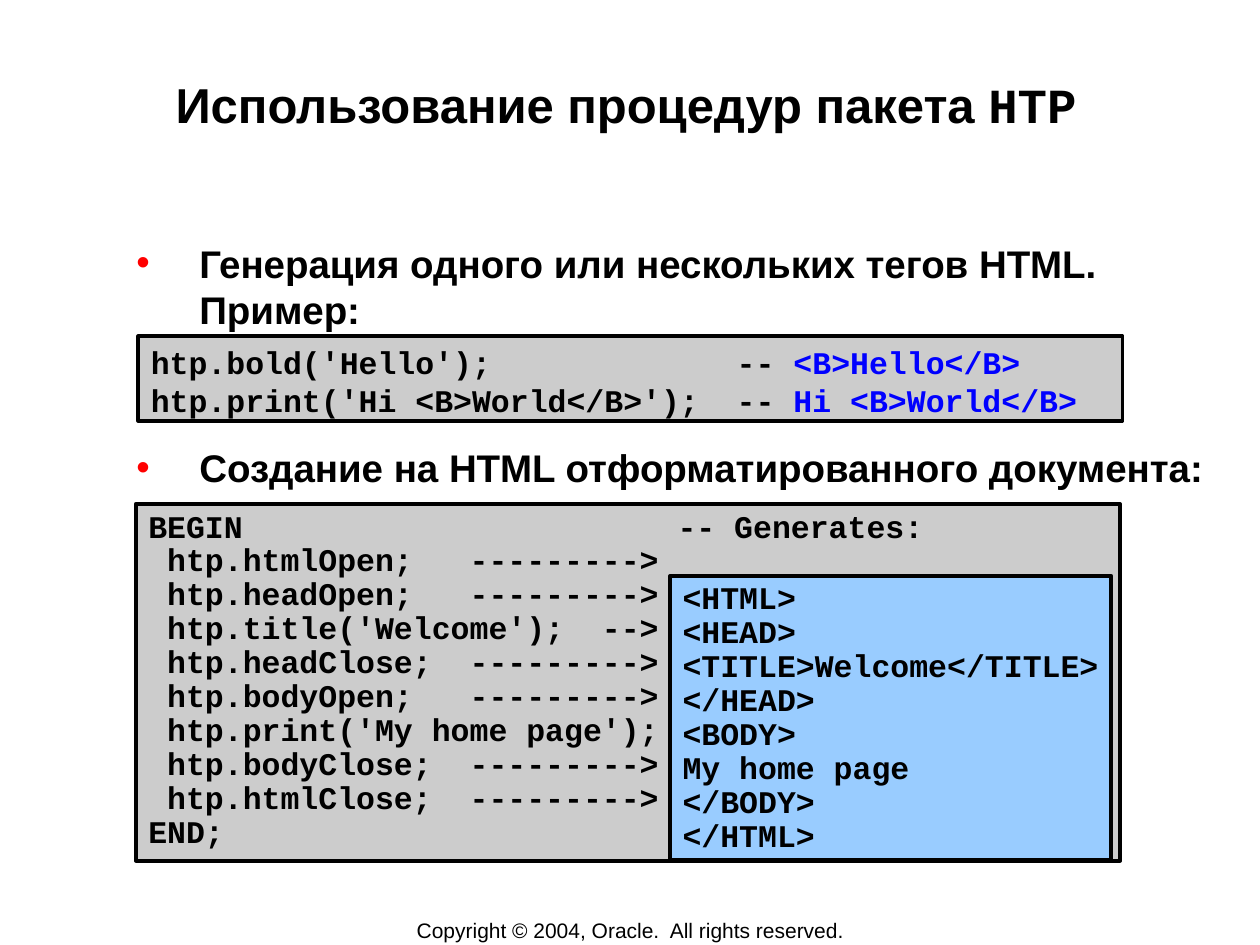
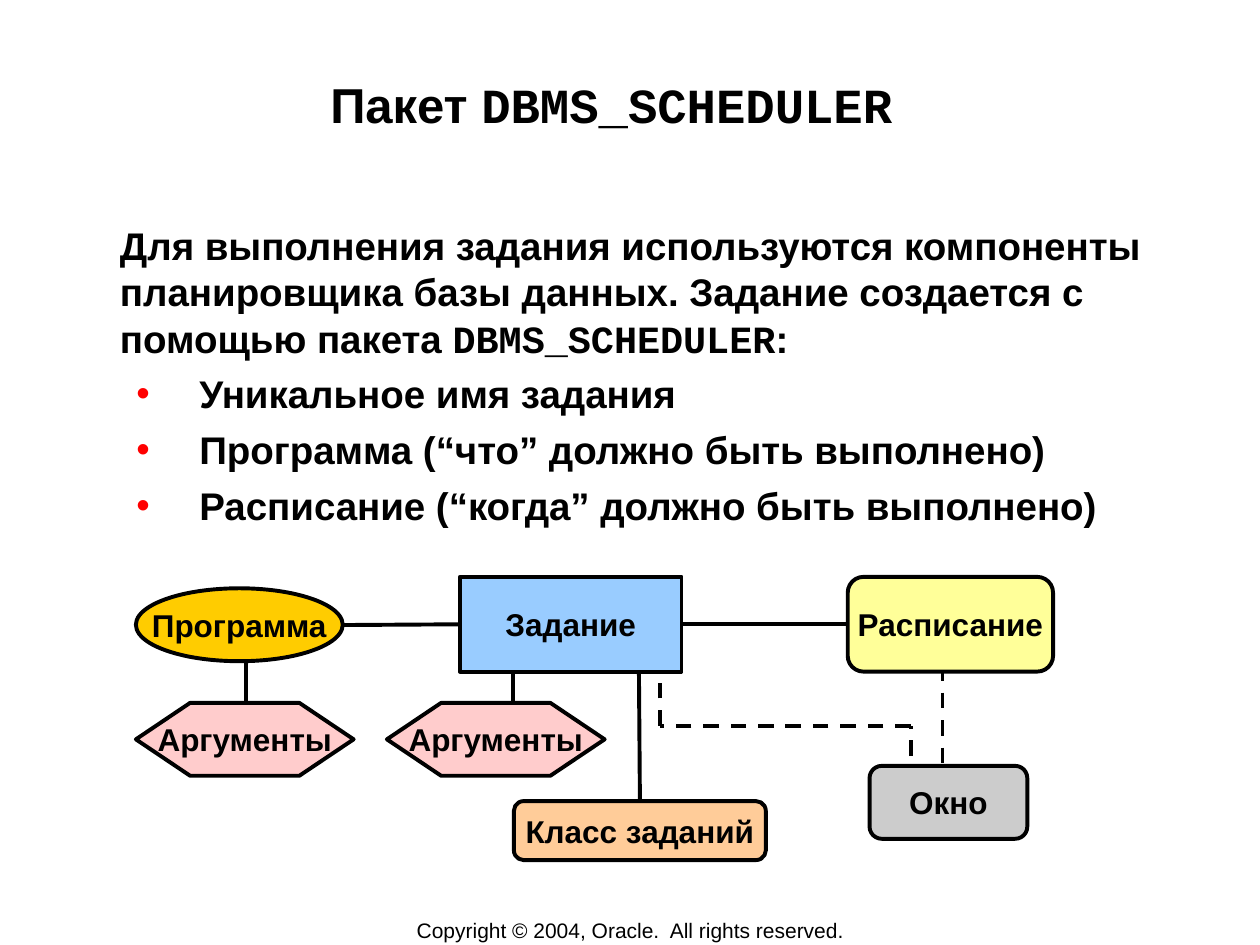
from lxml import etree
from pptx import Presentation
from pptx.dml.color import RGBColor
from pptx.enum.dml import MSO_LINE
from pptx.enum.shapes import MSO_CONNECTOR, MSO_SHAPE
from pptx.enum.text import MSO_ANCHOR, MSO_AUTO_SIZE, PP_ALIGN
from pptx.oxml.ns import qn
from pptx.util import Cm, Pt

BLACK = RGBColor(0x00, 0x00, 0x00)
BLUE = RGBColor(0x00, 0x00, 0xFF)
RED = RGBColor(0xFF, 0x00, 0x00)
GRAY = RGBColor(0xCC, 0xCC, 0xCC)
SKY = RGBColor(0x99, 0xCC, 0xFF)
GOLD = RGBColor(0xFF, 0xCC, 0x00)
PINK = RGBColor(0xFF, 0xCC, 0xCC)
PEACH = RGBColor(0xFF, 0xCC, 0x99)
LEMON = RGBColor(0xFF, 0xFF, 0x99)

RECT, OVAL, HEX = MSO_SHAPE.RECTANGLE, MSO_SHAPE.OVAL, MSO_SHAPE.HEXAGON
ROUND = MSO_SHAPE.FLOWCHART_ALTERNATE_PROCESS
STRAIGHT = MSO_CONNECTOR.STRAIGHT
DASH = MSO_LINE.DASH
LEFT, CENTER = PP_ALIGN.LEFT, PP_ALIGN.CENTER
TOP, MIDDLE = MSO_ANCHOR.TOP, MSO_ANCHOR.MIDDLE

# Run styles: font and colour
SANS = ("Arial", BLACK)
MONO = ("Courier New", BLACK)
TAG = ("Courier New", BLUE)

LEAD = 1.2      # line pitch as a share of the text size
SLIM = 0.03     # text margin of title and body
WIDE = 0.25     # side margin of shapes
EDGE = Pt(2.25)

# Shared content
FOOT = "Copyright © 2004, Oracle.  All rights reserved."
FOOT_AT = (7.01, 18.49, 11.4, 0.53)
TITLE_AT = (2.46, 1.47, 20.32, 2.44)

# Slide 1 content
HTP_TITLE = [("Использование процедур пакета ", SANS), ("HTP", MONO)]
HTP_POINTS = [
    ((2.39, 4.8, 22.38, 1.95), "Генерация одного или нескольких тегов HTML. Пример:"),
    ((2.39, 8.92, 22.38, 1), "Создание на HTML отформатированного документа:"),
]
TAG_CODE = [
    [("htp.bold('Hello');             -- ", MONO), ("<B>Hello</B>", TAG)],
    [("htp.print('Hi <B>World</B>');  -- ", MONO), ("Hi <B>World</B>", TAG)],
]
PAGE_CODE = """BEGIN                       -- Generates:
 htp.htmlOpen;   --------->
 htp.headOpen;   --------->
 htp.title('Welcome');  -->
 htp.headClose;  --------->
 htp.bodyOpen;   --------->
 htp.print('My home page');
 htp.bodyClose;  --------->
 htp.htmlClose;  --------->
END;"""
HTML = """<HTML>
<HEAD>
<TITLE>Welcome</TITLE>
</HEAD>
<BODY>
My home page
</BODY>
</HTML>"""

# Slide 2 content
JOB_TITLE = [("Пакет ", SANS), ("DBMS_SCHEDULER ", MONO)]
JOB_AT = (2.39, 4.45, 21.51, 6.25)
JOB_INTRO = [
    ("Для выполнения задания используются компоненты планировщика базы данных. "
     "Задание создается с помощью пакета ", SANS),
    ("DBMS_SCHEDULER", MONO),
    (":", SANS),
]
JOB_POINTS = [
    "Уникальное имя задания",
    "Программа (“что” должно быть выполнено)",
    "Расписание (“когда” должно быть выполнено)",
]
NODES = {
    "program": ("Программа", OVAL, GOLD, (2.74, 11.86, 4.17, 1.47)),
    "window": ("Окно", ROUND, GRAY, (17.53, 15.44, 3.18, 1.47)),
    "program args": ("Аргументы", HEX, PINK, (2.74, 14.17, 4.39, 1.47)),
    "job args": ("Аргументы", HEX, PINK, (7.8, 14.17, 4.39, 1.47)),
    "class": ("Класс заданий", ROUND, PEACH, (10.36, 16.15, 5.08, 1.19)),
    "schedule": ("Расписание", ROUND, LEMON, (17.09, 11.63, 4.14, 1.91)),
    "job": ("Задание", RECT, SKY, (9.27, 11.63, 4.47, 1.91)),
}
# Loose lines: points and dash
PATHS = [
    ([(4.95, 13.34), (4.95, 14.2)], None),
    ([(10.34, 13.54), (10.34, 14.6)], None),
    ([(19, 13.41), (19, 15.44)], DASH),
    ([(18.36, 15.24), (18.36, 14.63), (13.31, 14.63), (13.31, 13.34)], DASH),
]
# Joined lines: each end is a point or a node with its side
LINKS = [
    ((6.91, 12.6), ("job", 1)),
    (("job", 3), ("schedule", 1)),
    ((12.88, 13.54), ("class", 0)),
]


def area(box):
    return [Cm(n) for n in box]


def frame(shape, side, ends, anchor=TOP, wrap=True):
    text = shape.text_frame
    text.auto_size = MSO_AUTO_SIZE.NONE
    text.word_wrap = wrap
    text.vertical_anchor = anchor
    text.margin_left = text.margin_right = Cm(side)
    text.margin_top = text.margin_bottom = Cm(ends)
    return text


def bullet(para):
    props = para._p.get_or_add_pPr()
    props.set("marL", str(Cm(1.6)))
    props.set("indent", str(-Cm(1.27)))
    tint = etree.SubElement(props, qn("a:buClr"))
    etree.SubElement(tint, qn("a:srgbClr")).set("val", str(RED))
    etree.SubElement(props, qn("a:buFont")).set("typeface", "Arial")
    etree.SubElement(props, qn("a:buChar")).set("char", "•")


def fill(text, paras, size, align=LEFT, lead=None, gap=0, bold=True, dots=()):
    """Write paragraphs, each a list of (words, style); dots are bulleted ones."""
    for i, runs in enumerate(paras):
        para = text.add_paragraph() if i else text.paragraphs[0]
        if i in dots:
            bullet(para)
        para.alignment = align
        para.space_before = Pt(gap if i else 0)
        if lead:
            para.line_spacing = Pt(round(size * lead, 1))
        for words, (face, tint) in runs:
            run = para.add_run()
            run.text = words
            run.font.name = face
            run.font.size = Pt(size)
            run.font.bold = bold
            run.font.color.rgb = tint


def start(deck, title):
    """Add a slide with its title and footer."""
    slide = deck.slides.add_slide(deck.slide_layouts[5])
    head = slide.shapes.title
    head.left, head.top, head.width, head.height = area(TITLE_AT)
    fill(frame(head, SLIM, SLIM), [title], 28, CENTER)
    foot = slide.shapes.add_textbox(*area(FOOT_AT))
    fill(frame(foot, WIDE, 0.13, MIDDLE, False), [[(FOOT, SANS)]], 12, CENTER, bold=False)
    return slide


def body(slide, box, paras, dots):
    text = frame(slide.shapes.add_textbox(*area(box)), SLIM, SLIM)
    fill(text, paras, 22, lead=LEAD, gap=5.5, dots=dots)


def panel(slide, kind, box, tint):
    shape = slide.shapes.add_shape(kind, *area(box))
    shape.shadow.inherit = False
    shape.fill.solid()
    shape.fill.fore_color.rgb = tint
    shape.line.color.rgb = BLACK
    shape.line.width = EDGE
    return shape


def code(slide, box, tint, paras, lead, wrap=True):
    text = frame(panel(slide, RECT, box, tint), WIDE, 0.13, wrap=wrap)
    fill(text, paras, 18, lead=lead)


def plain(block):
    return [[(row, MONO)] for row in block.splitlines()]


def line(slide, a, b, dash=None):
    wire = slide.shapes.add_connector(STRAIGHT, *area(a + b))
    wire.line.color.rgb = BLACK
    wire.line.width = EDGE
    if dash:
        wire.line.dash_style = dash
    etree.SubElement(wire._element.spPr, qn("a:effectLst"))
    return wire


def htp_slide(deck):
    slide = start(deck, HTP_TITLE)
    for box, words in HTP_POINTS:
        body(slide, box, [[(words, SANS)]], [0])
    code(slide, (2.79, 6.78, 19.84, 1.7), GRAY, TAG_CODE, LEAD)
    code(slide, (2.74, 10.16, 19.84, 7.19), GRAY, plain(PAGE_CODE), 0.9 * LEAD)
    code(slide, (13.51, 11.61, 8.89, 5.72), SKY, plain(HTML), 0.9 * LEAD, False)


def job_slide(deck):
    slide = start(deck, JOB_TITLE)
    points = [[(words, SANS)] for words in JOB_POINTS]
    body(slide, JOB_AT, [JOB_INTRO] + points, range(1, len(points) + 1))

    # Loose lines lie under the nodes
    for points, dash in PATHS:
        for a, b in zip(points, points[1:]):
            line(slide, a, b, dash)

    # Nodes
    shapes = {}
    for name, (label, kind, tint, box) in NODES.items():
        node = shapes[name] = panel(slide, kind, box, tint)
        if kind == HEX:
            node.adjustments[0] = 0.744
        fill(frame(node, WIDE, 0.13, MIDDLE, False), [[(label, SANS)]], 18, CENTER)

    # Joined lines
    for a, b in LINKS:
        free = a[0] not in shapes
        wire = line(slide, a if free else (0, 0), (0, 0))
        if not free:
            wire.begin_connect(shapes[a[0]], a[1])
        wire.end_connect(shapes[b[0]], b[1])


def main():
    deck = Presentation()
    deck.slide_width, deck.slide_height = Cm(25.4), Cm(19.05)
    htp_slide(deck)
    job_slide(deck)
    deck.save("out.pptx")


if __name__ == "__main__":
    main()
